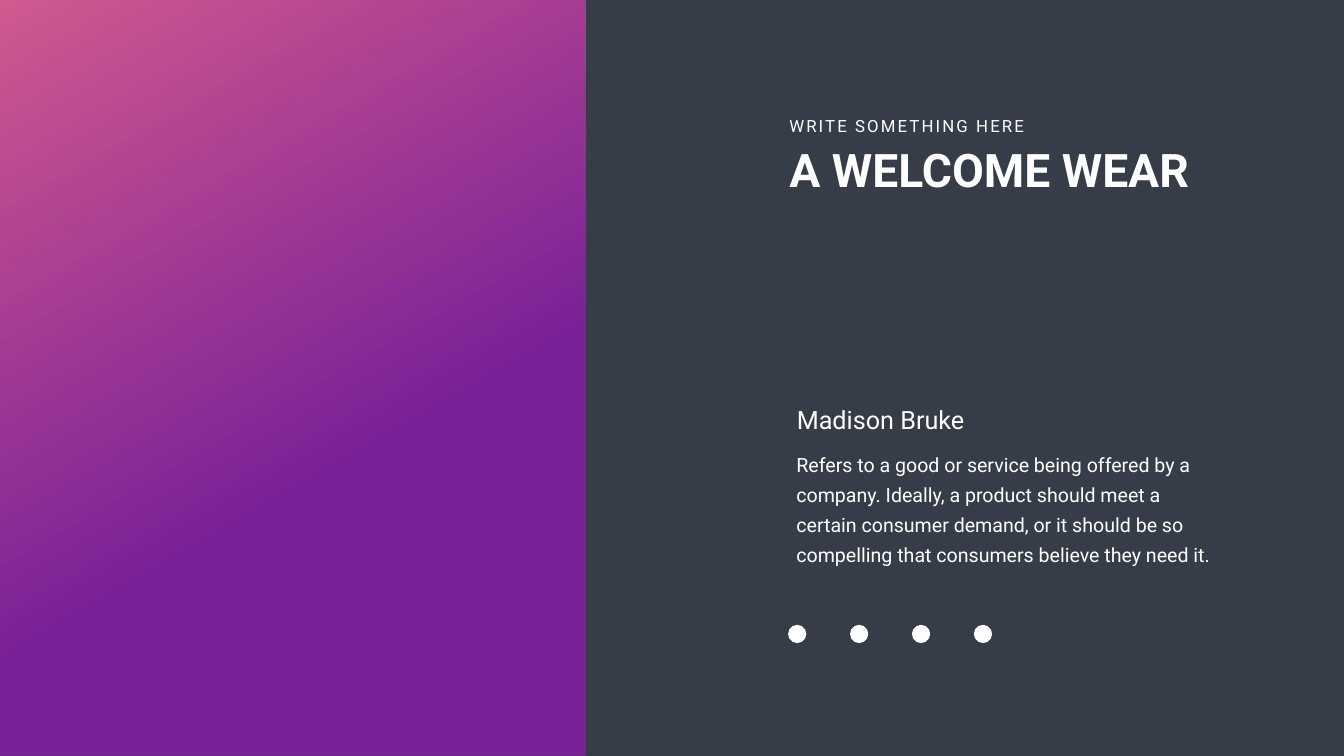
from lxml.etree import SubElement
from pptx import Presentation
from pptx.dml.color import RGBColor
from pptx.enum.shapes import MSO_SHAPE
from pptx.enum.text import MSO_AUTO_SIZE
from pptx.oxml.ns import qn
from pptx.util import Cm, Pt

COLORS = {"back": "363D48", "pink": "F761A0", "plum": "8C1BAB", "text": "FFFFFF"}
FONT = "Roboto"
WIDE, HIGH = 67.72, 38.1
PANEL = 29.49       # width of the gradient panel
LEFT = 39.52        # left edge of the text column
COLUMN = 22.73      # width of the text column

# Text, box in cm, size, and whatever differs from plain text
TEXTS = [
    {"text": "WRITE SOMETHING HERE", "box": (LEFT, 5.72, 12.7, 1.27),
     "size": 24, "track": 3},
    {"text": "A WELCOME WEAR", "box": (LEFT, 7.01, COLUMN, 3.07),
     "size": 66, "bold": True},
    {"text": "Madison Bruke", "box": (39.9, 20.27, 14.4, 1.8), "size": 36},
    {"text": "Refers to a good or service being offered by a company. Ideally, "
             "a product should meet a certain consumer demand, or it should be "
             "so compelling that consumers believe they need it.",
     "box": (LEFT, 22.17, COLUMN, 6.6), "size": 28, "line": 43,
     "inset": (0.61, 0.3)},
]

# Row of social marks: count, first centre, step, middle and size in cm
MARKS = {"count": 4, "first": 40.17, "step": 3.12, "mid": 31.95, "size": 0.92}


def rgb(name):
    return RGBColor.from_string(COLORS[name])


def add_panel(slide):
    panel = slide.shapes.add_shape(MSO_SHAPE.RECTANGLE, 0, 0, Cm(PANEL), Cm(HIGH))
    panel.shadow.inherit = False
    panel.line.fill.background()
    fill = panel.fill
    fill.gradient()
    fill.gradient_angle = 300
    for stop, name, pos in zip(fill.gradient_stops, ("pink", "plum"), (0, 0.6)):
        stop.color.rgb = rgb(name)
        stop.position = pos
    for color in panel._element.spPr.iter(qn("a:srgbClr")):
        SubElement(color, qn("a:alpha"), val="80000")


def add_text(slide, item):
    frame = slide.shapes.add_textbox(*map(Cm, item["box"])).text_frame
    frame.word_wrap = True
    frame.auto_size = MSO_AUTO_SIZE.SHAPE_TO_FIT_TEXT
    if "inset" in item:
        side, edge = map(Cm, item["inset"])
        frame.margin_left = frame.margin_right = side
        frame.margin_top = frame.margin_bottom = edge
    para = frame.paragraphs[0]
    if "line" in item:
        para.line_spacing = Pt(item["line"])
    run = para.add_run()
    run.text = item["text"]
    font = run.font
    font.name, font.size = FONT, Pt(item["size"])
    font.bold = item.get("bold", False)
    font.color.rgb = rgb("text")
    if "track" in item:
        run._r.get_or_add_rPr().set("spc", str(item["track"] * 100))


def add_marks(slide):
    size = MARKS["size"]
    top = MARKS["mid"] - size / 2
    for i in range(MARKS["count"]):
        left = MARKS["first"] + i * MARKS["step"] - size / 2
        mark = slide.shapes.add_shape(
            MSO_SHAPE.OVAL, Cm(left), Cm(top), Cm(size), Cm(size))
        mark.shadow.inherit = False
        mark.fill.solid()
        mark.fill.fore_color.rgb = rgb("text")
        mark.line.fill.background()


def main():
    deck = Presentation()
    deck.slide_width, deck.slide_height = Cm(WIDE), Cm(HIGH)
    slide = deck.slides.add_slide(deck.slide_layouts[6])

    # Background and gradient panel
    back = slide.background.fill
    back.solid()
    back.fore_color.rgb = rgb("back")
    add_panel(slide)

    # Text column and social marks
    for item in TEXTS:
        add_text(slide, item)
    add_marks(slide)
    deck.save("out.pptx")


if __name__ == "__main__":
    main()
